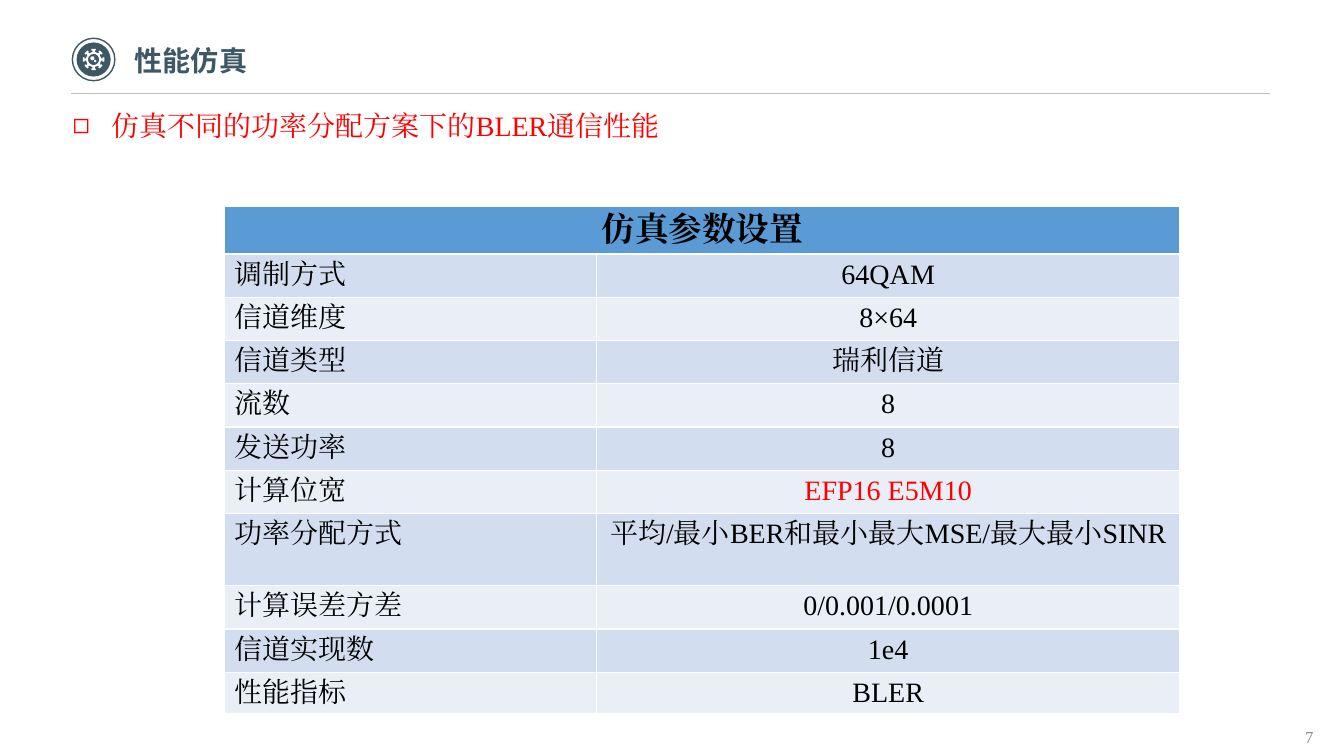
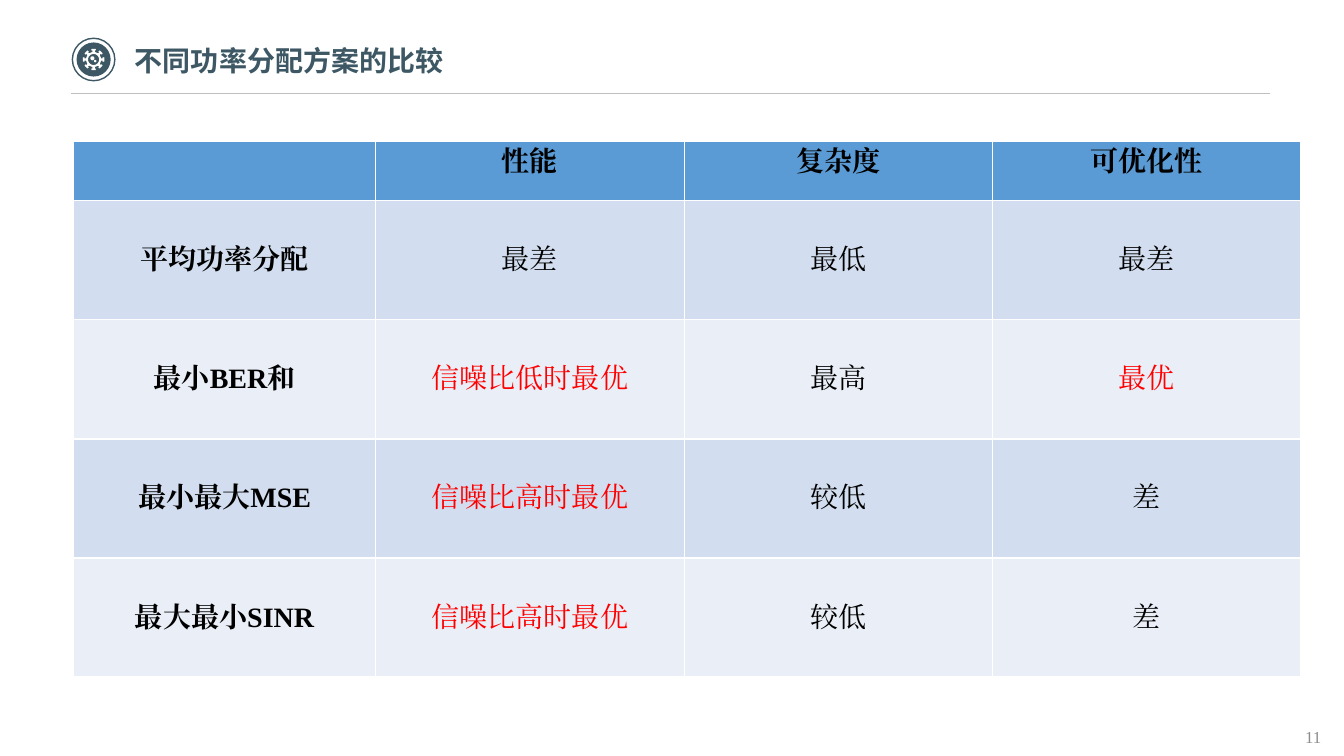
"""Build two slides on power allocation: simulation settings and a comparison of schemes."""
import math

import lxml.etree
import pptx
import pptx.dml.color
import pptx.enum.shapes
import pptx.enum.text
import pptx.oxml.ns
import pptx.util

Cm, Pt = pptx.util.Cm, pptx.util.Pt
ALIGN = pptx.enum.text.PP_ALIGN
ANCHOR = pptx.enum.text.MSO_ANCHOR
OVAL = pptx.enum.shapes.MSO_SHAPE.OVAL
qn = pptx.oxml.ns.qn

COLORS = {
    "slate": "3D5864", "rule": "BFBFBF", "page": "8C8C8C", "red": "FF0000", "black": "000000",
    "white": "FFFFFF", "header": "5B9BD5", "odd": "D2DEEF", "even": "EAEFF7",
}
SANS, SERIF = "Noto Sans CJK SC", "Times New Roman"

SETTINGS = {
    "title": "性能仿真",
    "page": "7",
    "bullet": "仿真不同的功率分配方案下的BLER通信性能",
    "rows": [
        ("仿真参数设置", ""),
        ("调制方式", "64QAM"),
        ("信道维度", "8×64"),
        ("信道类型", "瑞利信道"),
        ("流数", "8"),
        ("发送功率", "8"),
        ("计算位宽", "EFP16 E5M10"),
        ("功率分配方式", "平均/最小BER和最小最大MSE/最大最小SINR"),
        ("计算误差方差", "0/0.001/0.0001"),
        ("信道实现数", "1e4"),
        ("性能指标", "BLER"),
    ],
    "corner": (5.66, 5.21),
    "widths": [9.37, 14.71],
    "heights": [1.09] * 10 + [0.94],
    "header_size": 24,
    "label": {"bold": False, "align": ALIGN.JUSTIFY},
    "anchor": ANCHOR.TOP,
}
COMPARISON = {
    "title": "不同功率分配方案的比较",
    "page": "11",
    "rows": [
        ("", "性能", "复杂度", "可优化性"),
        ("平均功率分配", "最差", "最低", "最差"),
        ("最小BER和", "信噪比低时最优", "最高", "最优"),
        ("最小最大MSE", "信噪比高时最优", "较低", "差"),
        ("最大最小SINR", "信噪比高时最优", "较低", "差"),
    ],
    "corner": (1.85, 3.56),
    "widths": [7.62] + [7.77] * 3,
    "heights": [1.5] + [3.0] * 4,
    "header_size": 20,
    "label": {"bold": True, "align": ALIGN.CENTER},
    "anchor": ANCHOR.MIDDLE,
}
HIGHLIGHTS = {"EFP16 E5M10", "信噪比低时最优", "信噪比高时最优", "最优"}

ICON_CENTER = (2.36, 1.5)
GEAR_TEETH = 8
TOOTH = [(0.19, -0.03), (0.23, -0.03), (0.23, -0.06), (0.27, -0.05),
         (0.27, 0.05), (0.23, 0.06), (0.23, 0.03), (0.19, 0.03)]
GEAR_HOLES = [(0, 0, 0.14), (-0.03, -0.03, 0.05), (0.04, 0.04, 0.03)]


def rgb(name):
    return pptx.dml.color.RGBColor.from_string(COLORS[name])


def write(paragraph, text, size, color, font=SERIF, bold=False, align=ALIGN.LEFT):
    paragraph.alignment = align
    run = paragraph.add_run()
    run.text = text
    for name, value in {"size": Pt(size), "name": font, "bold": bold}.items():
        setattr(run.font, name, value)
    run.font.color.rgb = rgb(color)
    east_asian = lxml.etree.SubElement(run.font._element, qn("a:ea"))
    east_asian.set("typeface", font)


def place(shape, left, top, width, height):
    box = {"left": left, "top": top, "width": width, "height": height}
    for name, value in box.items():
        setattr(shape, name, Cm(value))


def set_frame(frame, anchor, left=0.0, right=0.0):
    values = {
        "word_wrap": True, "auto_size": pptx.enum.text.MSO_AUTO_SIZE.NONE,
        "vertical_anchor": anchor, "margin_left": Cm(left), "margin_right": Cm(right),
        "margin_top": Cm(0.13), "margin_bottom": Cm(0.13),
    }
    for name, value in values.items():
        setattr(frame, name, value)


def add_disc(slide, diameter):
    x, y = (center - diameter / 2 for center in ICON_CENTER)
    disc = slide.shapes.add_shape(OVAL, Cm(x), Cm(y), Cm(diameter), Cm(diameter))
    disc.shadow.inherit = False
    return disc


def gear_contours():
    teeth = []
    for index in range(GEAR_TEETH):
        angle = math.tau * index / GEAR_TEETH
        cos, sin = math.cos(angle), math.sin(angle)
        teeth += [(x * cos - y * sin, x * sin + y * cos) for x, y in TOOTH]
    steps = [math.tau * index / 24 for index in range(24)]
    holes = [[(x + r * math.cos(a), y + r * math.sin(a)) for a in steps] for x, y, r in GEAR_HOLES]
    return [teeth] + holes


def add_icon(slide):
    ring, disc = add_disc(slide, 1.07), add_disc(slide, 0.86)
    ring.fill.background()
    ring.line.color.rgb = rgb("slate")
    ring.line.width = Pt(1)
    contours = [[tuple(Cm(c + d) for c, d in zip(ICON_CENTER, point)) for point in contour]
                for contour in gear_contours()]
    builder = slide.shapes.build_freeform(*contours[0][0])
    builder.add_line_segments(contours[0][1:])
    for hole in contours[1:]:
        builder.move_to(*hole[0])
        builder.add_line_segments(hole[1:])
    gear = builder.convert_to_shape()
    gear.shadow.inherit = False
    for part, color in ((disc, "slate"), (gear, "white")):
        part.fill.solid()
        part.fill.fore_color.rgb = rgb(color)
        part.line.fill.background()


def add_frame(slide, content):
    add_icon(slide)
    rule = slide.shapes.add_connector(
        pptx.enum.shapes.MSO_CONNECTOR.STRAIGHT, Cm(1.8), Cm(2.36), Cm(32), Cm(2.36))
    rule.line.color.rgb = rgb("rule")
    rule.line.width = Pt(0.5)
    lxml.etree.SubElement(rule._element.spPr, qn("a:effectLst"))

    title = slide.shapes.title
    place(title, 3.4, 0.97, 18.34, 1.12)
    set_frame(title.text_frame, ANCHOR.MIDDLE, right=0.25)
    write(title.text_frame.paragraphs[0], content["title"], 20, "slate", SANS, True)

    page = slide.shapes.add_textbox(Cm(32.64), Cm(18.19), Cm(1.2), Cm(0.76))
    set_frame(page.text_frame, ANCHOR.TOP, left=0.25)
    write(page.text_frame.paragraphs[0], content["page"], 12, "page")


def add_bullet(slide, text):
    body = slide.placeholders[1]
    place(body, 1.83, 2.34, 30.2, 16.71)
    set_frame(body.text_frame, ANCHOR.TOP)
    paragraph = body.text_frame.paragraphs[0]
    properties = paragraph._p.get_or_add_pPr()
    properties.set("marL", str(Cm(0.97)))
    properties.set("indent", str(-Cm(0.97)))
    lxml.etree.SubElement(properties, qn("a:buChar")).set("char", "◻")
    paragraph.line_spacing = 1.3
    paragraph.space_before = Pt(0)
    write(paragraph, text, 20, "red", align=ALIGN.JUSTIFY)


def add_grid(slide, content):
    rows, widths, heights = (content[key] for key in ("rows", "widths", "heights"))
    sizes = content["corner"] + (sum(widths), sum(heights))
    grid = slide.shapes.add_table(len(rows), len(widths), *map(Cm, sizes)).table
    for column, width in zip(grid.columns, widths):
        column.width = Cm(width)
    for row, height in zip(grid.rows, heights):
        row.height = Cm(height)
    for r, texts in enumerate(rows):
        for c, text in enumerate(texts):
            cell = grid.cell(r, c)
            cell.fill.solid()
            cell.fill.fore_color.rgb = rgb("header" if r == 0 else "odd" if r % 2 else "even")
            cell.vertical_anchor = content["anchor"] if r else ANCHOR.TOP
            if not text:
                continue
            style = {"bold": r == 0, "align": ALIGN.CENTER}
            if r and c == 0:
                style = content["label"]
            size = 20 if r else content["header_size"]
            color = "red" if text in HIGHLIGHTS else "black"
            write(cell.text_frame.paragraphs[0], text, size, color, **style)
    return grid


def main():
    deck = pptx.Presentation()
    deck.slide_width, deck.slide_height = Cm(33.87), Cm(19.05)

    settings = deck.slides.add_slide(deck.slide_layouts[1])
    add_frame(settings, SETTINGS)
    add_bullet(settings, SETTINGS["bullet"])
    grid = add_grid(settings, SETTINGS)
    grid.cell(0, 0).merge(grid.cell(0, 1))

    comparison = deck.slides.add_slide(deck.slide_layouts[5])
    add_frame(comparison, COMPARISON)
    add_grid(comparison, COMPARISON)
    deck.save("out.pptx")


if __name__ == "__main__":
    main()
